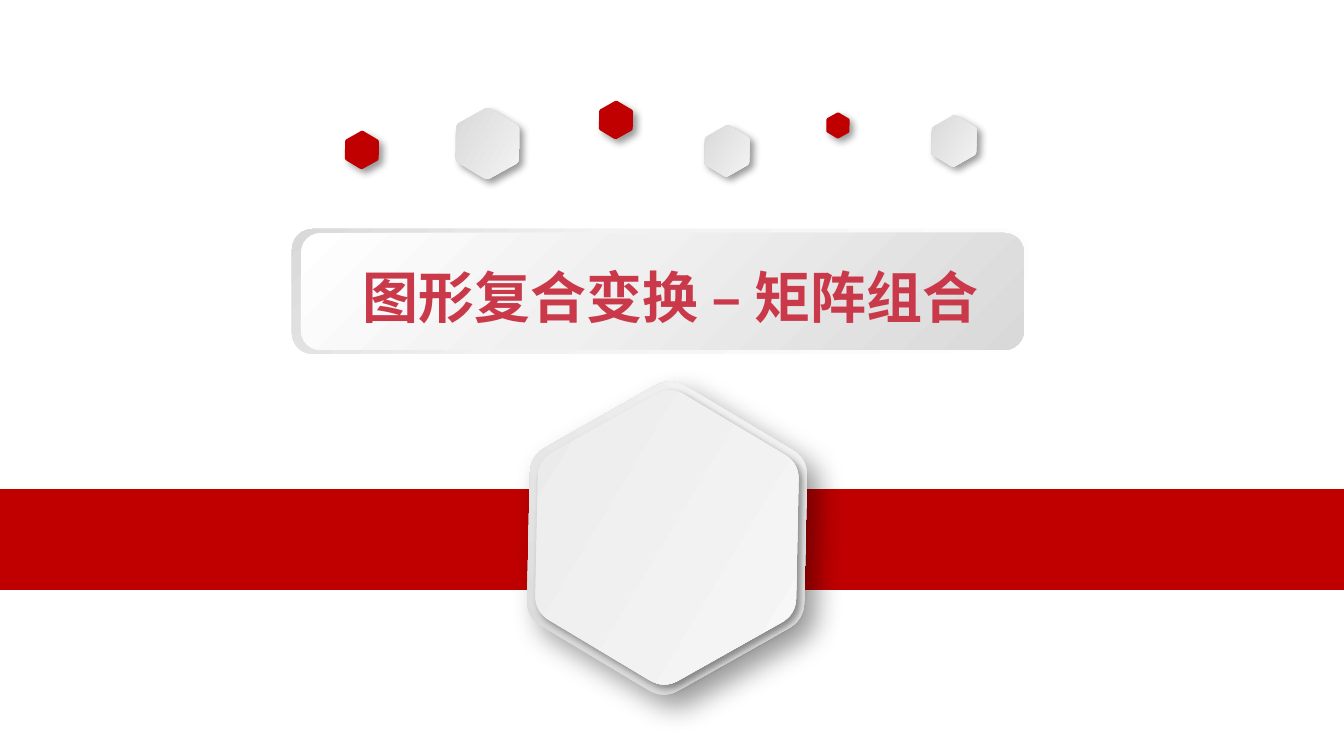
from copy import deepcopy
from math import cos, pi, sin

from lxml import etree
from pptx import Presentation
from pptx.dml.color import RGBColor
from pptx.enum.shapes import MSO_SHAPE
from pptx.enum.text import MSO_ANCHOR, PP_ALIGN
from pptx.oxml.ns import qn
from pptx.util import Pt

RECT, ROUND_RECT = MSO_SHAPE.RECTANGLE, MSO_SHAPE.ROUNDED_RECTANGLE
CENTER, MIDDLE = PP_ALIGN.CENTER, MSO_ANCHOR.MIDDLE
PX = 914400 / 134.4
FONT = "Noto Sans CJK SC"
RED, TITLE_RED = "C00000", "C9394A"
SILVER = [(0, "D3D3D3"), (100, "F9F9F9")]
PALE = [(0, "E9E9E9"), (100, "F9F9F9")]
TILT = 30.9


def px(length):
    return round(length * PX)


def color(hex_string):
    return RGBColor.from_string(hex_string)


def paint(shape, fill, angle=0):
    """Fill with one colour, or with (percent, colour) stops at an angle."""
    shape.shadow.inherit = False
    shape.line.fill.background()
    if isinstance(fill, str):
        shape.fill.solid()
        shape.fill.fore_color.rgb = color(fill)
        return
    shape.fill.gradient()
    shape.fill.gradient_angle = angle
    stop_list = shape._element.spPr.find(qn("a:gradFill")).find(qn("a:gsLst"))
    while len(stop_list) < len(fill):
        stop_list.append(deepcopy(stop_list[-1]))
    for stop, (percent, tone) in zip(shape.fill.gradient_stops, fill):
        stop.position = percent / 100
        stop.color.rgb = color(tone)


def cast_shadow(shape, blur, distance):
    effects = shape._element.spPr.find(qn("a:effectLst"))
    shadow = etree.SubElement(
        effects, qn("a:outerShdw"), blurRad=str(Pt(blur)), dist=str(Pt(distance)),
        dir="2700000", algn="tl", rotWithShape="0")
    tone = etree.SubElement(shadow, qn("a:srgbClr"), val="000000")
    etree.SubElement(tone, qn("a:alpha"), val="40000")


def hexagon_outline(trim=0.11, steps=8):
    """Points of a hexagon with rounded corners, within a unit box."""
    corners = [(cos(k * pi / 3), sin(k * pi / 3)) for k in range(6)]
    points = []
    for k, corner in enumerate(corners):
        before, after = corners[k - 1], corners[(k + 1) % 6]
        for step in range(steps + 1):
            t = step / steps
            points.append([c + trim * ((1 - t) ** 2 * (b - c) + t ** 2 * (a - c))
                           for b, c, a in zip(before, corner, after)])
    half_width = max(x for x, _ in points)
    half_height = max(y for _, y in points)
    return [((1 + x / half_width) / 2, (1 + y / half_height) / 2) for x, y in points]


def add_hexagon(slide, box, fill, angle=0, blur=4, distance=3):
    left, top, width, height = box
    points = [(px(left + x * width), px(top + y * height)) for x, y in hexagon_outline()]
    builder = slide.shapes.build_freeform(*points[0], scale=1.0)
    builder.add_line_segments(points[1:], close=True)
    hexagon = builder.convert_to_shape()
    hexagon.rotation = TILT
    paint(hexagon, fill, angle)
    cast_shadow(hexagon, blur, distance)


def add_panel(slide, kind, box, fill, angle=0):
    panel = slide.shapes.add_shape(kind, *map(px, box))
    paint(panel, fill, angle)


def add_hexagon_row(slide, left, top):
    # x, y, width, height, fill
    row = [(109, 9, 71, 63, SILVER), (254, 0, 38, 34, RED), (0, 30, 38, 34, RED),
           (359, 25, 50, 46, SILVER), (482, 11, 26, 23, RED), (586, 15, 50, 46, SILVER)]
    for x, y, width, height, fill in row:
        add_hexagon(slide, (left + x, top + y, width, height), fill)


def add_emblem(slide, left, top, width, height):
    add_hexagon(slide, (left, top, width, height), SILVER, 90, blur=15, distance=9)
    add_hexagon(slide, (left + 9, top + 8, width - 18, height - 17), PALE)


def add_title_plate(slide, left, top, width, height, title):
    rim = [(0, "FFFFFF"), (62, "F2F2F2"), (100, "D9D9D9")]
    face = [(0, "FFFFFF"), (42, "F0F0F0"), (100, "D9D9D9")]
    add_panel(slide, ROUND_RECT, (left, top, width, height), rim, 135)
    add_panel(slide, ROUND_RECT, (left + 9, top + 4, width - 14, height - 8), face, 315)

    caption = slide.shapes.add_textbox(*map(px, (left + 10, top + 26, width, 82)))
    frame = caption.text_frame
    frame.word_wrap = True
    frame.vertical_anchor = MIDDLE
    frame.text = title
    paragraph = frame.paragraphs[0]
    paragraph.alignment = CENTER
    run = paragraph.runs[0]
    run.font.size = Pt(30)
    run.font.bold = True
    run.font.name = FONT
    run.font.color.rgb = color(TITLE_RED)
    etree.SubElement(run._r.get_or_add_rPr(), qn("a:ea"), typeface=FONT)


def main():
    deck = Presentation()
    deck.slide_width, deck.slide_height = px(1344), px(756)
    slide = deck.slides.add_slide(deck.slide_layouts[6])

    add_panel(slide, RECT, (0, 489, 1344, 101), RED)
    add_hexagon_row(slide, 343, 103)
    add_emblem(slide, 512, 398, 310, 280)
    add_title_plate(slide, 292, 229, 737, 125, "图形复合变换 – 矩阵组合")
    deck.save("out.pptx")


if __name__ == "__main__":
    main()
